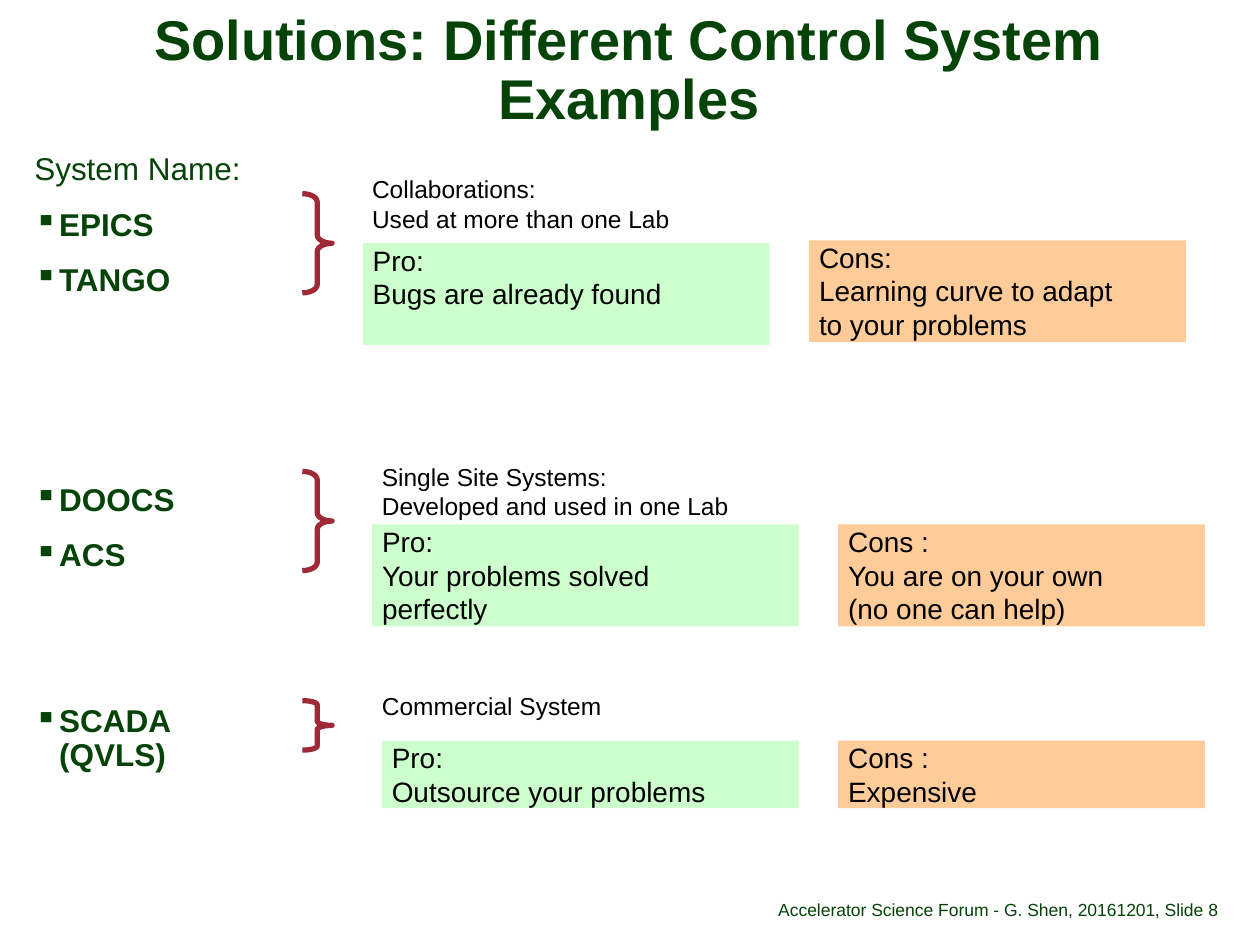
import pptx
import pptx.dml.color
import pptx.enum.shapes
import pptx.enum.text
import pptx.oxml
import pptx.oxml.ns
import pptx.util

Pt = pptx.util.Pt
ALIGN = pptx.enum.text.PP_ALIGN
ANCHOR = pptx.enum.text.MSO_ANCHOR
SHAPE = pptx.enum.shapes.MSO_SHAPE
COLOURS = {"green": "064308", "black": "000000", "pro": "CCFFCC",
           "cons": "FFCC99", "brace": "9F2936"}


def rgb(name):
    return pptx.dml.color.RGBColor.from_string(COLOURS[name])


def write(shape, lines, size, colour, bold=False, align=ALIGN.LEFT, spacing=1.0,
          anchor=ANCHOR.TOP, margins=(0, 0, 0, 0), wrap=True):
    """Set the text frame of a shape, one paragraph for each line."""
    frame = shape.text_frame
    frame.word_wrap = wrap
    frame.vertical_anchor = anchor
    (frame.margin_left, frame.margin_top,
     frame.margin_right, frame.margin_bottom) = map(Pt, margins)
    for index, line in enumerate(lines):
        paragraph = frame.add_paragraph() if index else frame.paragraphs[0]
        paragraph.alignment = align
        paragraph.line_spacing = spacing
        for part_index, part in enumerate(line.split("\n")):
            if part_index:
                paragraph.add_line_break()
            run = paragraph.add_run()
            run.text = part
            run.font.name = "Arial"
            run.font.size = Pt(size)
            run.font.bold = bold
            run.font.color.rgb = rgb(colour)
    return frame


presentation = pptx.Presentation()
presentation.slide_width = Pt(720)
presentation.slide_height = Pt(540)
slide = presentation.slides.add_slide(presentation.slide_layouts[6])
shapes = slide.shapes

# Title and footer
title = shapes.add_textbox(Pt(5.5), Pt(5), Pt(708), Pt(72.7))
write(title, ["Solutions: Different Control System Examples"], 32, "green", bold=True,
      align=ALIGN.CENTER, spacing=0.88, anchor=ANCHOR.MIDDLE, margins=(4.3, 1.4, 4.3, 1.4))

footers = [
    (326, 334, ALIGN.RIGHT, "Accelerator Science Forum - G. Shen, 20161201"),
    (660, 60, ALIGN.LEFT, ", Slide 8"),
]
for left, width, align, text in footers:
    footer = shapes.add_textbox(Pt(left), Pt(500.4), Pt(width), Pt(28.8))
    write(footer, [text], 10, "green", align=align, spacing=0.9,
          anchor=ANCHOR.BOTTOM, margins=(0, 3.6, 0, 3.6))

# System names, with wider gaps between the three categories
names = {"System Name:": 0, "EPICS": 12.1, "TANGO": 12.1, "DOOCS": 106.4,
         "ACS": 12.1, "SCADA\n(QVLS)": 75.5}
name_list = shapes.add_textbox(Pt(19.6), Pt(87.8), Pt(130.3), Pt(374.4))
name_frame = write(name_list, names, 18, "green", spacing=0.9)
for paragraph, space in zip(name_frame.paragraphs, names.values()):
    paragraph.space_before = Pt(space)
    properties = paragraph._p.get_or_add_pPr()
    properties.set("marL", str(Pt(14.2)))
    properties.set("indent", str(-Pt(14.2)))
    if space:
        bullet = pptx.oxml.parse_xml(
            f'<a:buChar {pptx.oxml.ns.nsdecls("a")} char="▪"/>')
        properties.append(bullet)
        for run in paragraph.runs:
            run.font.bold = True

# Each category: heading (left, top, width, lines), brace (top, height, curve),
# then its boxes (kind, left, top, width, height, lines)
categories = [
    ((212.6, 99.5, 171.4, ["Collaborations:", "Used at more than one Lab"]),
     (110.7, 56.7, 0.278),
     [("pro", 207.3, 138.9, 232.4, 58.2, ["Pro:", "Bugs are already found"]),
      ("cons", 462.3, 137.3, 215.4, 58.2,
       ["Cons:", "Learning curve to adapt", "to your problems"])]),
    ((218.2, 264, 199.4, ["Single Site Systems:", "Developed and used in one Lab"]),
     (269.4, 56.7, 0.278),
     [("pro", 212.6, 299.7, 243.8, 58.2,
       ["Pro:", "Your problems solved", "perfectly"]),
      ("cons", 479, 299.7, 209.6, 58.2,
       ["Cons :", "You are on your own", "(no one can help)"])]),
    ((218.2, 394.9, 126.7, ["Commercial System"]),
     (400.4, 28.3, 0.139),
     [("pro", 218.2, 423.3, 238.2, 38.6, ["Pro:", "Outsource your problems"]),
      ("cons", 479, 423.3, 209.6, 38.6, ["Cons :", "Expensive"])]),
]
for heading_data, brace_data, boxes in categories:
    left, top, width, lines = heading_data
    heading = shapes.add_textbox(Pt(left), Pt(top), Pt(width), Pt(17 * len(lines)))
    write(heading, lines, 14, "black", wrap=False)

    top, height, curve = brace_data
    brace = shapes.add_shape(SHAPE.RIGHT_BRACE, Pt(172.8), Pt(top), Pt(17), Pt(height))
    brace.adjustments[0] = curve
    brace.adjustments[1] = 0.5
    brace.shadow.inherit = False
    brace.fill.background()
    brace.line.color.rgb = rgb("brace")
    brace.line.width = Pt(3)

    for kind, left, top, width, height, lines in boxes:
        box = shapes.add_shape(SHAPE.RECTANGLE, Pt(left), Pt(top), Pt(width), Pt(height))
        box.shadow.inherit = False
        box.fill.solid()
        box.fill.fore_color.rgb = rgb(kind)
        box.line.fill.background()
        write(box, lines, 16, "black", margins=(5.7, 0, 0, 0))

presentation.save("out.pptx")
